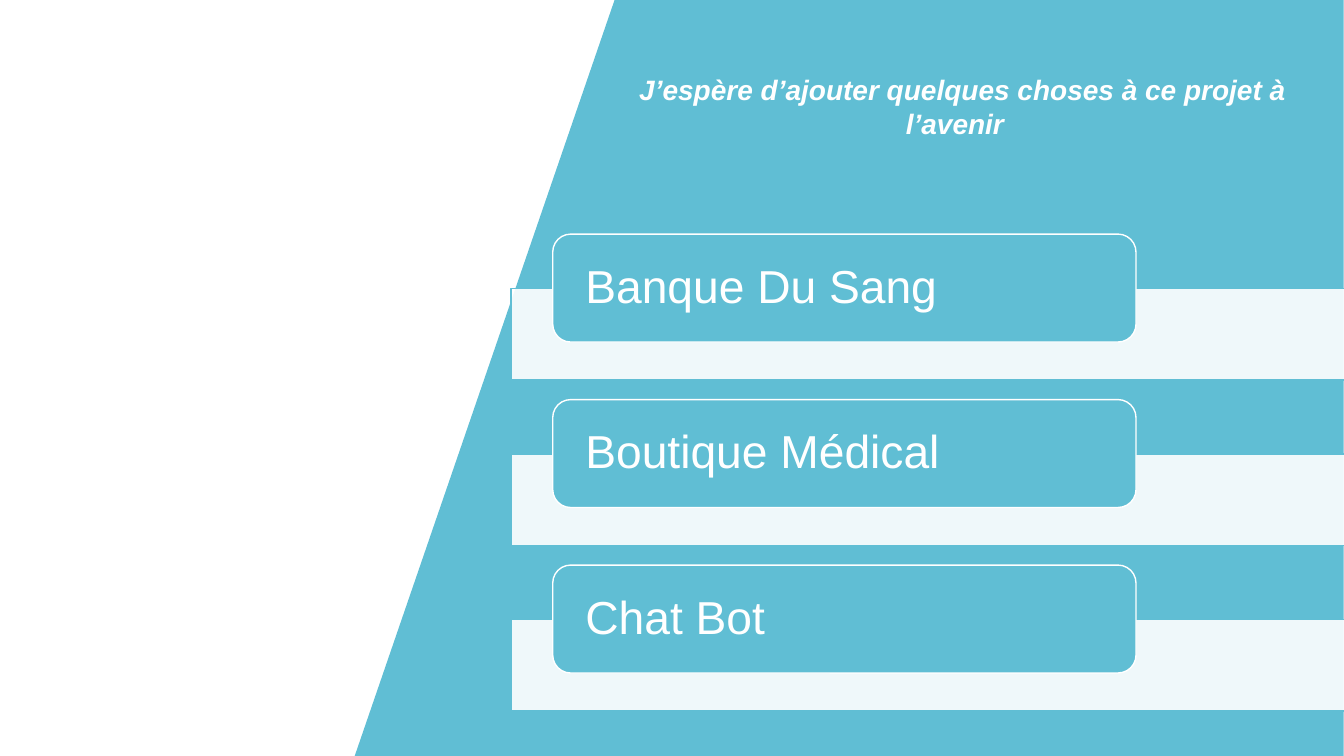
from dataclasses import dataclass

from lxml import etree
from pptx import Presentation
from pptx import util as u
from pptx.dml.color import RGBColor
from pptx.enum import shapes, text
from pptx.oxml import ns


@dataclass(frozen=True)
class Theme:
    """Colours, font and type sizes of the slide."""
    teal: RGBColor = RGBColor(0x60, 0xBE, 0xD4)
    white: RGBColor = RGBColor(0xFF, 0xFF, 0xFF)
    bar_opacity: int = 90
    font: str = "Arial"
    heading_size: int = 20
    item_size: int = 33
    line_width: int = 1


THEME = Theme()
HEADING = " J’espère d’ajouter quelques choses à ce projet à l’avenir "
IDEAS = ["Banque Du Sang", "Boutique Médical", "Chat Bot"]


def set_format(target, values):
    """Set each named attribute of the target."""
    for name, value in values.items():
        setattr(target, name, value)


def paint(shape, fill, line=None):
    """Give a shape a plain fill, an optional outline and no shadow."""
    shape.shadow.inherit = False
    shape.fill.solid()
    shape.fill.fore_color.rgb = fill
    if line is None:
        shape.line.fill.background()
    else:
        shape.line.color.rgb = line
        shape.line.width = u.Pt(THEME.line_width)


def set_opacity(shape, percent):
    """Make the solid fill of a shape partly transparent."""
    colour = shape.fill._xPr.find(ns.qn("a:solidFill"))[0]
    etree.SubElement(colour, ns.qn("a:alpha"), val=str(percent * 1000))


def write(shape, words, frame_format, paragraph_format, font_format):
    """Write one white paragraph into a shape."""
    frame = shape.text_frame
    set_format(frame, {"word_wrap": True, **frame_format})
    paragraph = frame.paragraphs[0]
    set_format(paragraph, paragraph_format)
    run = paragraph.add_run()
    run.text = words
    set_format(run.font, {"name": THEME.font, **font_format})
    run.font.color.rgb = THEME.white


def add_panel(slide, left, top, width, height):
    """Draw the slanted teal panel inside the box."""
    slant = 6.55
    corners = [(left + width, top), (left + width, top + height), (left, top + height)]
    builder = slide.shapes.build_freeform(u.Cm(left + slant), u.Cm(top))
    builder.add_line_segments([(u.Cm(x), u.Cm(y)) for x, y in corners])
    paint(builder.convert_to_shape(), THEME.teal)


def add_heading(slide, left, top, width, height):
    """Place the centred heading in the box."""
    box = slide.shapes.add_textbox(*map(u.Cm, (left, top, width, height)))
    write(box, HEADING, {},
          {"alignment": text.PP_ALIGN.CENTER},
          {"size": u.Pt(THEME.heading_size), "bold": True, "italic": True})


def add_idea(slide, words, left, top, width, height):
    """Place a pale bar along the foot of the box and a label over it."""
    bar_height, label_height = 2.31, 2.72
    bar = slide.shapes.add_shape(
        shapes.MSO_SHAPE.RECTANGLE, u.Cm(left), u.Cm(top + height - bar_height),
        u.Cm(width), u.Cm(bar_height))
    paint(bar, THEME.white, THEME.teal)
    set_opacity(bar, THEME.bar_opacity)

    label = slide.shapes.add_shape(
        shapes.MSO_SHAPE.ROUNDED_RECTANGLE, u.Cm(left + width * 0.05), u.Cm(top),
        u.Cm(width * 0.7), u.Cm(label_height))
    paint(label, THEME.teal, THEME.white)
    write(label, words,
          {"vertical_anchor": text.MSO_ANCHOR.MIDDLE, "margin_left": u.Cm(0.69),
           "margin_right": u.Cm(0.69), "margin_top": 0, "margin_bottom": 0},
          {"alignment": text.PP_ALIGN.LEFT, "line_spacing": 0.9},
          {"size": u.Pt(THEME.item_size)})


def add_ideas(slide, left, top, width, height, pitch):
    """Stack the ideas at an equal pitch."""
    for index, words in enumerate(IDEAS):
        add_idea(slide, words, left, top + index * pitch, width, height)


def main():
    """Build the slide and save it."""
    presentation = Presentation()
    set_format(presentation, {"slide_width": u.Cm(33.87), "slide_height": u.Cm(19.05)})
    slide = presentation.slides.add_slide(presentation.slide_layouts[6])
    add_panel(slide, 8.94, 0, 24.92, 19.05)
    add_heading(slide, 14.88, 1.7, 18.57, 1.96)
    add_ideas(slide, 12.88, 5.9, 21, 3.68, 4.17)
    presentation.save("out.pptx")


if __name__ == "__main__":
    main()
